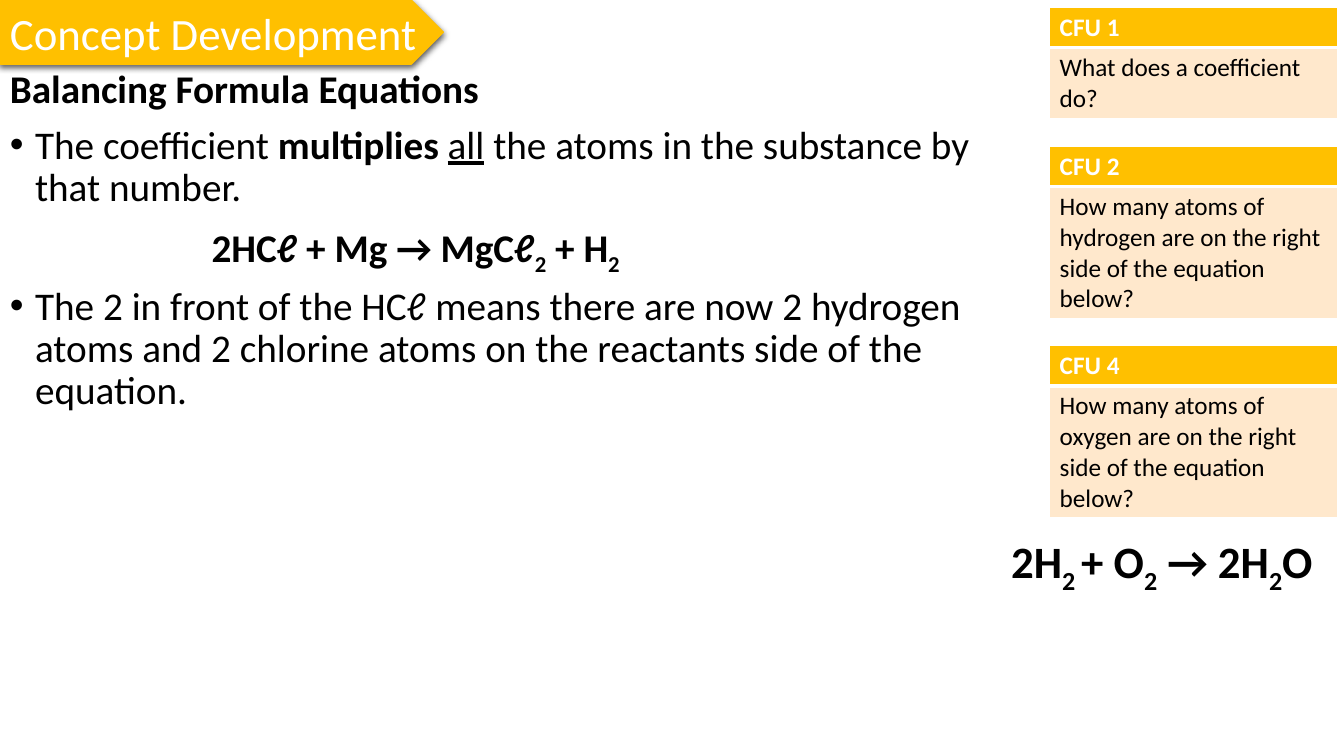
from dataclasses import dataclass

from lxml import etree
from pptx import Presentation
from pptx.dml.color import RGBColor
from pptx.enum.shapes import MSO_SHAPE
from pptx.enum.text import MSO_ANCHOR, PP_ALIGN
from pptx.oxml.ns import qn
from pptx.util import Inches, Pt

PENTAGON = MSO_SHAPE.PENTAGON
MIDDLE = MSO_ANCHOR.MIDDLE
LEFT = PP_ALIGN.LEFT
SLIDE_W, SLIDE_H = Inches(13.33), Inches(7.5)


@dataclass(frozen=True)
class Theme:
    """Colours, font and type sizes of the slide."""
    font: str = "Calibri"
    accent: str = "FFC000"
    tint: str = "FFE8CC"
    light: str = "FFFFFF"
    dark: str = "000000"
    title: int = 32
    body: int = 28
    card: int = 18


THEME = Theme()
BANNER = (0, 0, 0.33, 0.085)
LESSON = (0, 0.085, 0.775, 0.724)
EQUATION = (0.745, 0.7, 0.25, 0.085)
CARDS = (0.781, 0.0095, 0.214, 0.676)
CARD_HEAD, CARD_LINE, CARD_PAD, CARD_GAP = 0.052, 0.04, 0.0145, 0.0373

QUESTIONS = [
    ("CFU 1", "What does a coefficient do?", 2),
    ("CFU 2", "How many atoms of hydrogen are on the right side of the equation below?", 4),
    ("CFU 4", "How many atoms of oxygen are on the right side of the equation below?", 4),
]
PARAGRAPHS = [
    ("plain", [("Balancing Formula Equations", "b")]),
    ("bullet", [("The coefficient ", ""), ("multiplies ", "b"), ("all", "u"),
                (" the atoms in the substance by that number.", "")]),
    ("formula", [("2HCℓ + Mg → MgCℓ", "b"), ("2", "bs"), (" + H", "b"), ("2", "bs")]),
    ("bullet", [("The 2 in front of the HCℓ means there are now 2 hydrogen atoms and "
                 "2 chlorine atoms on the reactants side of the equation.", "")]),
]
WATER = [("2H", "b"), ("2 ", "bs"), ("+ O", "b"), ("2", "bs"),
         (" → 2H", "b"), ("2", "bs"), ("O", "b")]
INDENTS = {"bullet": (0.25, -0.25), "formula": (2, 0)}


def place(box):
    """Turn shares of the slide into lengths."""
    x, y, w, h = box
    return int(x * SLIDE_W), int(y * SLIDE_H), int(w * SLIDE_W), int(h * SLIDE_H)


def add_runs(p, runs, size, color):
    """Write runs whose marks mean bold (b), underlined (u) or subscript (s)."""
    for text, marks in runs:
        r = p.add_run()
        r.text = text
        r.font.name = THEME.font
        r.font.size = Pt(size)
        r.font.bold = "b" in marks
        r.font.underline = "u" in marks
        r.font.color.rgb = RGBColor.from_string(color)
        if "s" in marks:
            r.font._element.set("baseline", "-25000")


def add_color(parent, color):
    """Append an RGB colour element."""
    return etree.SubElement(parent, qn("a:srgbClr"), val=color)


def add_shadow(shape):
    """Give a shape a soft shadow below it."""
    shape.shadow.inherit = False
    effects = shape._element.spPr.find(qn("a:effectLst"))
    shadow = etree.SubElement(effects, qn("a:outerShdw"), blurRad=str(Pt(4.5)),
                              dist=str(Pt(1.5)), dir="5400000", algn="ctr", rotWithShape="0")
    etree.SubElement(add_color(shadow, THEME.dark), qn("a:alpha"), val="63000")


def add_banner(s, box, text):
    """Draw the arrow-shaped title banner."""
    sp = s.shapes.add_shape(PENTAGON, *place(box))
    sp.fill.solid()
    sp.fill.fore_color.rgb = sp.line.color.rgb = RGBColor.from_string(THEME.accent)
    sp.line.width = Pt(0.75)
    add_shadow(sp)
    tf = sp.text_frame
    tf.word_wrap = False
    tf.vertical_anchor = MIDDLE
    p = tf.paragraphs[0]
    p.alignment = LEFT
    add_runs(p, [(text, "")], THEME.title, THEME.light)


def set_indent(p, style):
    """Indent a paragraph and give bullet points their mark."""
    pPr = p._p.get_or_add_pPr()
    margin, hanging = INDENTS.get(style, (0, 0))
    pPr.set("marL", str(Inches(margin)))
    pPr.set("indent", str(Inches(hanging)))
    if style == "bullet":
        etree.SubElement(pPr, qn("a:buFont"), typeface="Arial")
        etree.SubElement(pPr, qn("a:buChar"), char="•")


def add_lesson(s, box, paragraphs):
    """Write the heading, points and formula of the lesson."""
    tf = s.shapes.add_textbox(*place(box)).text_frame
    tf.word_wrap = True
    for i, (style, runs) in enumerate(paragraphs):
        p = tf.add_paragraph() if i else tf.paragraphs[0]
        set_indent(p, style)
        p.line_spacing = 0.9
        p.space_before = Pt(10 if i else 0)
        add_runs(p, runs, THEME.body, THEME.dark)


def add_equation(s, box, runs):
    """Write the practice equation on one line."""
    tf = s.shapes.add_textbox(*place(box)).text_frame
    tf.word_wrap = False
    add_runs(tf.paragraphs[0], runs, THEME.title, THEME.dark)


def style_cell(cell, fill, borders):
    """Fill a cell and draw its white borders."""
    tcPr = cell._tc.get_or_add_tcPr()
    for side, width in zip("LRTB", borders):
        line = etree.SubElement(tcPr, qn(f"a:ln{side}"), w=str(Pt(width)))
        add_color(etree.SubElement(line, qn("a:solidFill")), THEME.light)
    cell.fill.solid()
    cell.fill.fore_color.rgb = RGBColor.from_string(fill)


def add_card(s, box, heading, question):
    """Draw one question card as a two-row table."""
    x, y, w, h = box
    table = s.shapes.add_table(2, 1, *place(box)).table
    table.rows[0].height = int(CARD_HEAD * SLIDE_H)
    table.rows[1].height = int((h - CARD_HEAD) * SLIDE_H)
    rows = [(heading, "b", THEME.light, THEME.accent, (1, 1, 1, 3)),
            (question, "", THEME.dark, THEME.tint, (1, 1, 3, 1))]
    for i, (text, marks, color, fill, borders) in enumerate(rows):
        cell = table.cell(i, 0)
        style_cell(cell, fill, borders)
        add_runs(cell.text_frame.paragraphs[0], [(text, marks)], THEME.card, color)


def add_cards(s, box, questions):
    """Stack the question cards with equal gaps."""
    x, y, w, h = box
    for heading, question, lines in questions:
        height = CARD_HEAD + lines * CARD_LINE + CARD_PAD
        add_card(s, (x, y, w, height), heading, question)
        y += height + CARD_GAP


def main():
    """Build and save the slide."""
    prs = Presentation()
    prs.slide_width, prs.slide_height = SLIDE_W, SLIDE_H
    s = prs.slides.add_slide(prs.slide_layouts[6])
    add_banner(s, BANNER, "Concept Development")
    add_lesson(s, LESSON, PARAGRAPHS)
    add_cards(s, CARDS, QUESTIONS)
    add_equation(s, EQUATION, WATER)
    prs.save("out.pptx")


if __name__ == "__main__":
    main()
